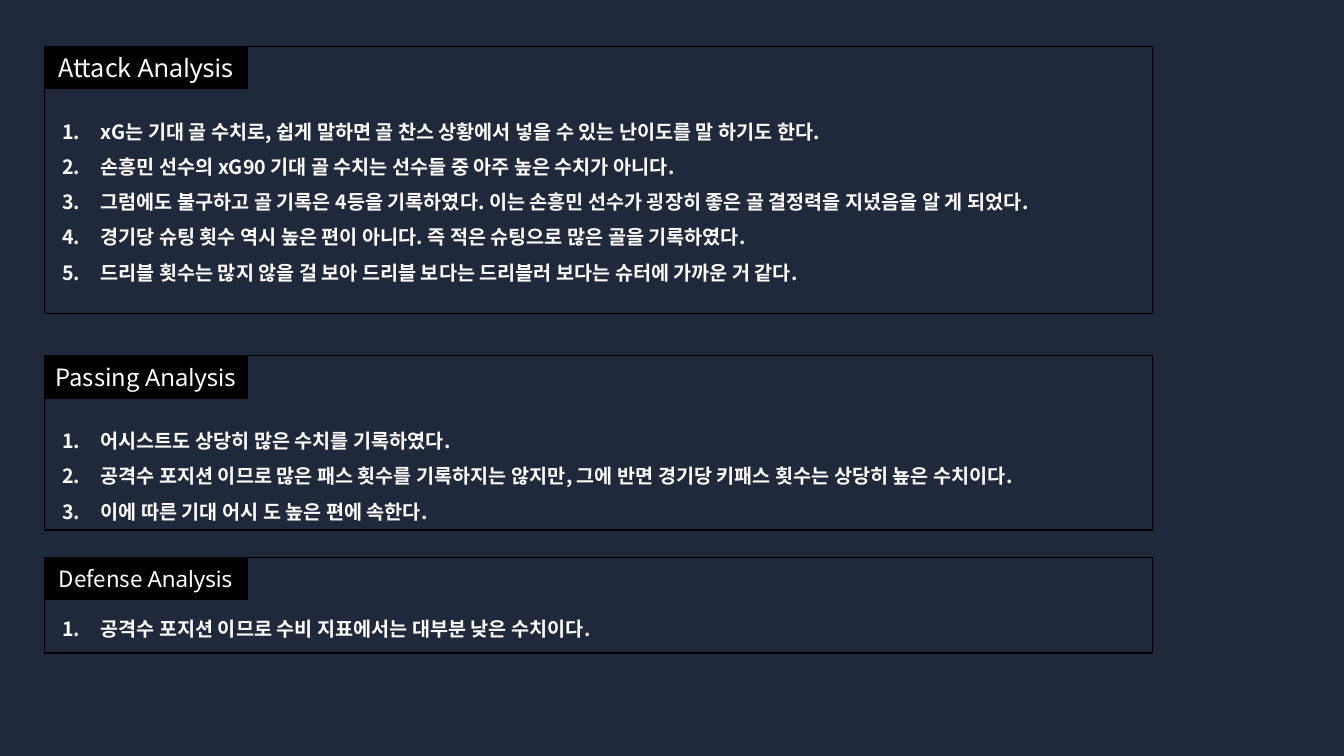
from lxml.etree import SubElement
from pptx import Presentation
from pptx.dml.color import RGBColor
from pptx.enum.shapes import MSO_SHAPE
from pptx.enum.text import MSO_ANCHOR, MSO_AUTO_SIZE, PP_ALIGN
from pptx.oxml.ns import qn
from pptx.util import Emu, Pt

KOREAN_FONT, LATIN_FONT = "Noto Sans CJK KR", "Noto Sans"
BACKGROUND, BLACK, WHITE = "20283C", "000000", "FFFFFF"

SECTIONS = [
    dict(title="Attack", title_size=18, top=46, height=265, body_gap=56, body_height=182, points=[
        "xG는 기대 골 수치로, 쉽게 말하면 골 찬스 상황에서 넣을 수 있는 난이도를 말 하기도 한다.",
        "손흥민 선수의 xG90 기대 골 수치는 선수들 중 아주 높은 수치가 아니다.",
        "그럼에도 불구하고 골 기록은 4등을 기록하였다. 이는 손흥민 선수가 굉장히 좋은 골 결정력을 지녔음을 알 게 되었다.",
        "경기당 슈팅 횟수 역시 높은 편이 아니다. 즉 적은 슈팅으로 많은 골을 기록하였다.",
        "드리블 횟수는 많지 않을 걸 보아 드리블 보다는 드리블러 보다는 슈터에 가까운 거 같다.",
    ]),
    dict(title="Passing", title_size=17, top=353, height=173, body_gap=56, body_height=147, points=[
        "어시스트도 상당히 많은 수치를 기록하였다.",
        "공격수 포지션 이므로 많은 패스 횟수를 기록하지는 않지만, 그에 반면 경기당 키패스 횟수는 상당히 눂은 수치이다.",
        "이에 따른 기대 어시 도 높은 편에 속한다.",
    ]),
    dict(title="Defense", title_size=16, top=553, height=95, body_gap=42, body_height=41, points=[
        "공격수 포지션 이므로 수비 지표에서는 대부분 낮은 수치이다.",
    ]),
]

FRAME_LEFT, FRAME_WIDTH = 44, 1099
TAB_WIDTH, TAB_HEIGHT = 201, 42
BODY_LEFT, BODY_WIDTH = 52, 1222
NUMBER_INDENT = 38
POINT_SIZE, POINT_PITCH = 14, 25.2


def px(length):
    """Convert px, at 100 to the inch, to EMU."""
    return Emu(length * 9144)


def color(value):
    return RGBColor.from_string(value)


def add_text(paragraph, text, size, font=KOREAN_FONT, bold=False):
    run = paragraph.add_run()
    run.text = text
    run.font.size = Pt(size)
    run.font.bold = bold
    run.font.color.rgb = color(WHITE)
    run.font.name = font
    SubElement(run.font._element, qn("a:ea"), typeface=font)


def add_box(slide, top, width, height, fill=None):
    shape = slide.shapes.add_shape(
        MSO_SHAPE.RECTANGLE, px(FRAME_LEFT), px(top), px(width), px(height))
    shape.shadow.inherit = False
    shape.line.color.rgb = color(BLACK)
    shape.line.width = Pt(1)
    if fill:
        shape.fill.solid()
        shape.fill.fore_color.rgb = color(fill)
    else:
        shape.fill.background()
    return shape


def add_tab(slide, title, size, top):
    frame = add_box(slide, top, TAB_WIDTH, TAB_HEIGHT, fill=BLACK).text_frame
    frame.vertical_anchor = MSO_ANCHOR.MIDDLE
    paragraph = frame.paragraphs[0]
    paragraph.alignment = PP_ALIGN.CENTER
    add_text(paragraph, title + " ", size)
    add_text(paragraph, "Analysis", size, font=LATIN_FONT)


def add_numbered_points(slide, points, top, height):
    box = slide.shapes.add_textbox(px(BODY_LEFT), px(top), px(BODY_WIDTH), px(height))
    frame = box.text_frame
    frame.word_wrap = True
    frame.auto_size = MSO_AUTO_SIZE.SHAPE_TO_FIT_TEXT
    for index, point in enumerate(points):
        paragraph = frame.add_paragraph() if index else frame.paragraphs[0]
        paragraph.line_spacing = Pt(POINT_PITCH)
        properties = paragraph._p.get_or_add_pPr()
        properties.set("marL", str(px(NUMBER_INDENT)))
        properties.set("indent", str(px(-NUMBER_INDENT)))
        SubElement(properties, qn("a:buFont"), typeface="+mj-lt")
        SubElement(properties, qn("a:buAutoNum"), type="arabicPeriod")
        add_text(paragraph, point, POINT_SIZE, bold=True)


def main():
    presentation = Presentation()
    presentation.slide_width, presentation.slide_height = px(1333), px(750)
    slide = presentation.slides.add_slide(presentation.slide_layouts[6])
    slide.background.fill.solid()
    slide.background.fill.fore_color.rgb = color(BACKGROUND)
    for section in SECTIONS:
        top = section["top"]
        add_box(slide, top, FRAME_WIDTH, section["height"])
        add_tab(slide, section["title"], section["title_size"], top)
        add_numbered_points(
            slide, section["points"], top + section["body_gap"], section["body_height"])
    presentation.save("out.pptx")


if __name__ == "__main__":
    main()
